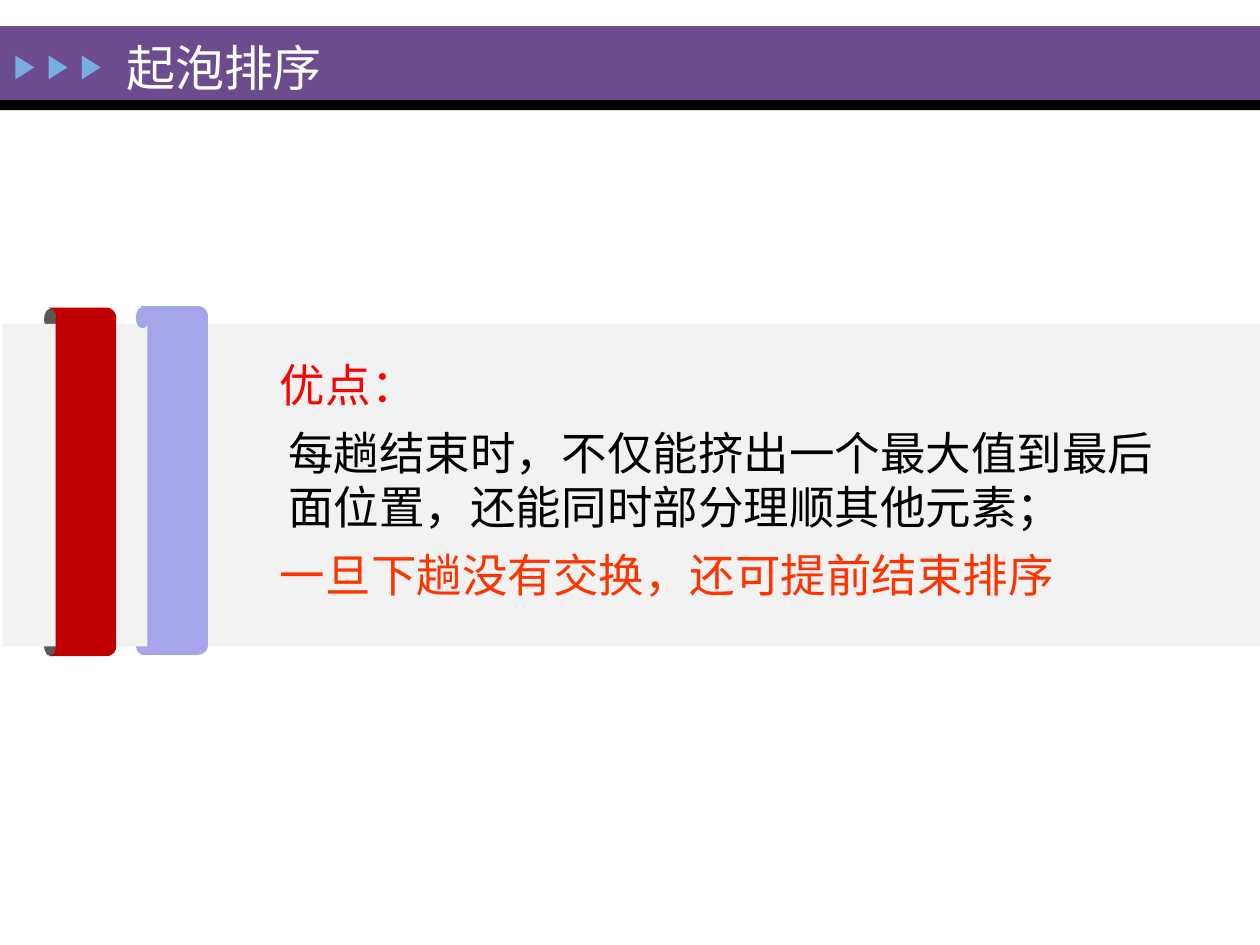
from pptx import Presentation
from pptx.dml.color import RGBColor
from pptx.enum.shapes import MSO_SHAPE
from pptx.enum.text import MSO_ANCHOR, MSO_AUTO_SIZE, PP_ALIGN
from pptx.oxml.ns import qn
from pptx.util import Cm, Pt

FONT = "Times New Roman"
RED, LILAC, GREY = "C00000", "A5A5E9", "595959"
BANNERS = {"red": (0.97, 6.2), "lilac": (2.82, 6.17)}
CURL_LEFT, CURL_BOTTOM = -0.08, 6.6


def color(hex_text):
    return RGBColor.from_string(hex_text)


def paint(shape, fill):
    shape.shadow.inherit = False
    shape.fill.solid()
    shape.fill.fore_color.rgb = color(fill)
    shape.line.fill.background()
    return shape


def add_shape(page, kind, left, top, width, height, fill):
    shape = page.shapes.add_shape(kind, Cm(left), Cm(top), Cm(width), Cm(height))
    return paint(shape, fill)


def add_arrow(page, left):
    arrow = add_shape(page, MSO_SHAPE.ISOSCELES_TRIANGLE, left, 1.17, 0.48, 0.38, "76AEDD")
    arrow.rotation = 90


def add_curl(page, banner, offset, fill):
    """Add the rolled edge of a banner, offset down from the banner's top."""
    left, top = BANNERS[banner]
    add_shape(page, MSO_SHAPE.OVAL, left + CURL_LEFT, top + offset, 0.27, 0.43, fill)


def curve(start, first, second, end, steps=12):
    """Return points along a cubic Bezier curve, both ends included."""
    points = []
    for step in range(steps + 1):
        t = step / steps
        weights = ((1 - t) ** 3, 3 * t * (1 - t) ** 2, 3 * t * t * (1 - t), t ** 3)
        controls = (start, first, second, end)
        points.append(tuple(
            sum(weight * control[axis] for weight, control in zip(weights, controls))
            for axis in (0, 1)))
    return points


def add_banner(page, banner, fill):
    outline = (
        curve((0.15, 0.25), (0.23, 0), (-0.1, 0), (0.02, 0))
        + curve((1.17, 0), (1.28, 0), (1.37, 0.1), (1.37, 0.18))
        + curve((1.37, 6.86), (1.37, 6.95), (1.27, 7.03), (1.17, 7.03))
        + curve((0.05, 7.03), (-0.05, 7.03), (0.18, 7.03), (0.15, 6.86))
    )
    points = [(Cm(x), Cm(y)) for x, y in outline]
    builder = page.shapes.build_freeform(*points[0])
    builder.add_line_segments(points[1:], close=True)
    left, top = BANNERS[banner]
    paint(builder.convert_to_shape(Cm(left), Cm(top)), fill)


def place_text(page, box, left, top, width, height, anchor):
    """Move a placeholder into position and in front of the shapes."""
    box.left, box.top, box.width, box.height = Cm(left), Cm(top), Cm(width), Cm(height)
    page.shapes.element.append(box.element)
    frame = box.text_frame
    frame.word_wrap = True
    frame.auto_size = MSO_AUTO_SIZE.NONE
    frame.vertical_anchor = anchor
    return frame


def format_paragraph(paragraph, size, hex_text, space_before=0):
    paragraph.alignment = PP_ALIGN.LEFT
    paragraph.space_before = Pt(space_before)
    for span in paragraph.runs:
        span.font.name = FONT
        span.font.size = Pt(size)
        span.font.color.rgb = color(hex_text)


def add_title(page, text):
    frame = place_text(page, page.shapes.title, 2.29, 0.61, 6.78, 1.47, MSO_ANCHOR.MIDDLE)
    frame.text = text
    format_paragraph(frame.paragraphs[0], 28, "FEFFFF")


def add_body(page, lines):
    frame = place_text(page, page.placeholders[1], 4.57, 7.06, 19.71, 5.36, MSO_ANCHOR.TOP)
    frame.text = "\n".join(text for text, _, _ in lines)
    for index, (paragraph, line) in enumerate(zip(frame.paragraphs, lines)):
        _, hex_text, margin = line
        properties = paragraph._p.get_or_add_pPr()
        properties.set("marL", str(Cm(margin)))
        properties.set("indent", "0")
        properties.append(properties.makeelement(qn("a:buNone"), {}))
        format_paragraph(paragraph, 26, hex_text, 7.8 if index else 0)


def main():
    deck = Presentation()
    deck.slide_width, deck.slide_height = Cm(25.4), Cm(19.05)
    page = deck.slides.add_slide(deck.slide_layouts[1])
    page.background.fill.solid()
    page.background.fill.fore_color.rgb = color("FEFFFF")

    add_shape(page, MSO_SHAPE.RECTANGLE, 0, 0.53, 25.4, 1.5, "6C4C8F")
    add_shape(page, MSO_SHAPE.RECTANGLE, 0, 2.02, 25.4, 0.2, "000000")
    for index in range(3):
        add_arrow(page, 0.26 + 0.67 * index)

    add_curl(page, "lilac", CURL_BOTTOM, LILAC)
    add_curl(page, "red", CURL_BOTTOM, GREY)
    add_curl(page, "red", 0.02, GREY)
    add_shape(page, MSO_SHAPE.RECTANGLE, 0.05, 6.53, 25.35, 6.5, "F2F2F2")
    add_banner(page, "red", RED)
    add_curl(page, "lilac", 0.02, LILAC)
    add_banner(page, "lilac", LILAC)

    add_title(page, "起泡排序")
    add_body(page, [
        ("优点：", "FF0000", 0.82),
        ("每趟结束时，不仅能挤出一个最大值到最后面位置，还能同时部分理顺其他元素；", "000000", 0.99),
        ("一旦下趟没有交换，还可提前结束排序", "FF3300", 0.82),
    ])
    deck.save("out.pptx")


if __name__ == "__main__":
    main()
